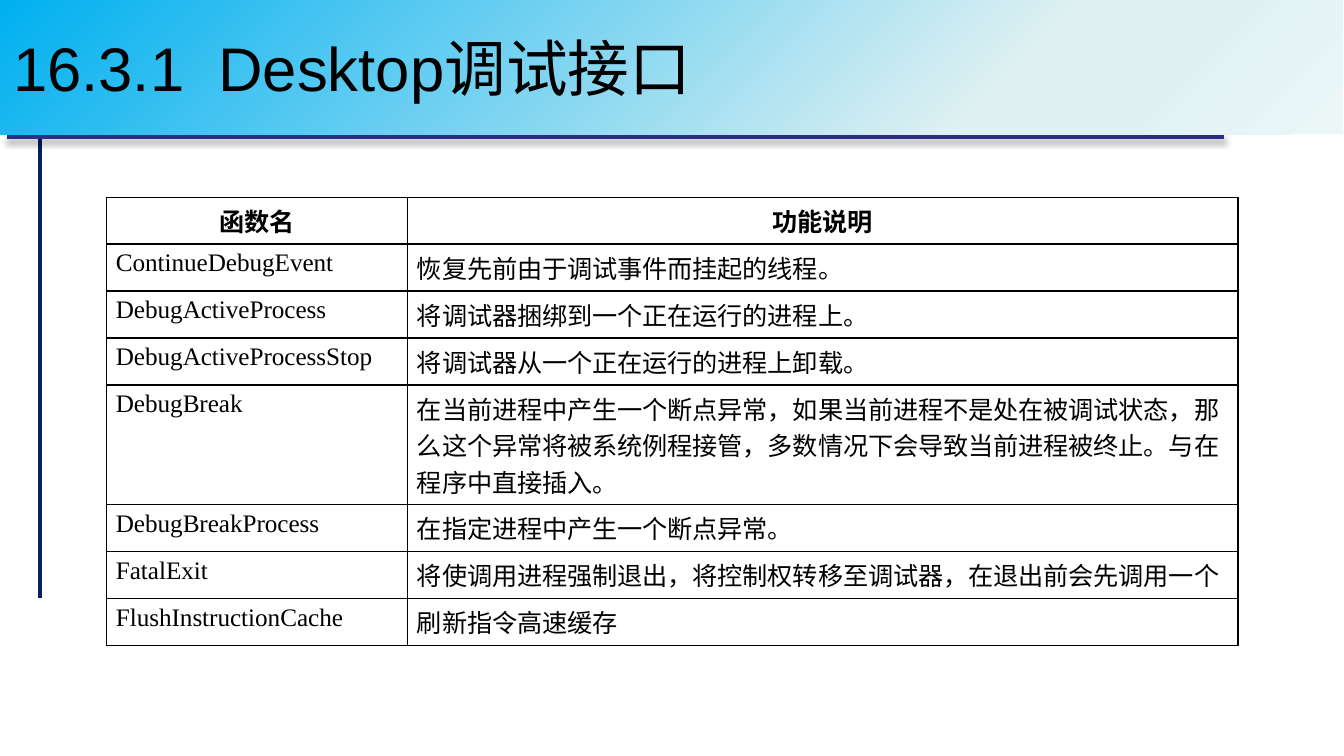
from lxml import etree
from pptx import Presentation
from pptx.dml.color import RGBColor
from pptx.enum.shapes import MSO_CONNECTOR, MSO_SHAPE
from pptx.enum.text import MSO_ANCHOR, PP_ALIGN
from pptx.oxml import parse_xml
from pptx.oxml.ns import qn
from pptx.util import Cm, Pt

STRAIGHT = MSO_CONNECTOR.STRAIGHT
RECTANGLE = MSO_SHAPE.RECTANGLE
MIDDLE, TOP = MSO_ANCHOR.MIDDLE, MSO_ANCHOR.TOP
LEFT, CENTER = PP_ALIGN.LEFT, PP_ALIGN.CENTER

BLACK = RGBColor(0x00, 0x00, 0x00)
NAVY = RGBColor(0x00, 0x20, 0x60)
INDIGO = RGBColor(0x2D, 0x2D, 0x89)
SKY = RGBColor(0x00, 0xB0, 0xF0)
MIST = RGBColor(0xE0, 0xF1, 0xF2)
PALE = RGBColor(0xEB, 0xF6, 0xF7)

CJK = "Noto Sans CJK SC"
SERIF = "Times New Roman"
A = 'xmlns:a="http://schemas.openxmlformats.org/drawingml/2006/main"'

ROWS = [
    ("函数名", "功能说明"),
    ("ContinueDebugEvent", "恢复先前由于调试事件而挂起的线程。"),
    ("DebugActiveProcess", "将调试器捆绑到一个正在运行的进程上。"),
    ("DebugActiveProcessStop", "将调试器从一个正在运行的进程上卸载。"),
    ("DebugBreak", "在当前进程中产生一个断点异常，如果当前进程不是处在被调试状态，"
     "那么这个异常将被系统例程接管，多数情况下会导致当前进程被终止。与在程序中直接插入。"),
    ("DebugBreakProcess", "在指定进程中产生一个断点异常。"),
    ("FatalExit", "将使调用进程强制退出，将控制权转移至调试器，在退出前会先调用一个"),
    ("FlushInstructionCache", "刷新指令高速缓存"),
]
ROW_HEIGHTS = [0.84, 0.84, 0.84, 0.84, 2.06, 0.84, 0.76, 0.84]
COLUMN_WIDTHS = [5.69, 15.7]


def write(tf, text, size, font, align=LEFT, bold=False):
    tf.text = text
    p = tf.paragraphs[0]
    p.alignment = align
    r = p.runs[0]
    r.font.size = Pt(size)
    r.font.name = font
    r.font.bold = bold
    r.font.color.rgb = BLACK
    etree.SubElement(r.font._element, qn("a:ea"), typeface=CJK)


prs = Presentation()
prs.slide_width, prs.slide_height = Cm(25.4), Cm(14.29)
s = prs.slides.add_slide(prs.slide_layouts[6])

# Rules beside and below the title
SHADOW = ('<a:outerShdw blurRad="39370" dist="22860" dir="5400000" rotWithShape="0">'
          '<a:srgbClr val="000000"><a:alpha val="35000"/></a:srgbClr></a:outerShdw>')
for x1, y1, x2, y2, color, effect in [
    (0.76, 2.06, 0.76, 11.3, NAVY, ""),
    (0.13, 2.59, 23.14, 2.59, INDIGO, SHADOW),
]:
    rule = s.shapes.add_connector(STRAIGHT, Cm(x1), Cm(y1), Cm(x2), Cm(y2))
    rule.line.color.rgb = color
    rule.line.width = Pt(2.25)
    rule._element.spPr.append(parse_xml(f"<a:effectLst {A}>{effect}</a:effectLst>"))

# Title band, shaded outwards from its top left corner
band = s.shapes.add_shape(RECTANGLE, 0, 0, Cm(25.38), Cm(2.54))
band.shadow.inherit = False
band.line.fill.background()
band.fill.background()
stops = "".join(
    f'<a:gs pos="{pos * 1000}"><a:srgbClr val="{color}"/></a:gs>'
    for pos, color in [(0, SKY), (74, MIST), (83, MIST), (100, PALE)])
spPr = band._element.spPr
spPr.replace(spPr.find(qn("a:noFill")), parse_xml(
    f'<a:gradFill {A} rotWithShape="1"><a:gsLst>{stops}</a:gsLst>'
    '<a:path path="circle"><a:fillToRect r="100000" b="100000"/></a:path></a:gradFill>'))
tf = band.text_frame
tf.word_wrap = True
tf.vertical_anchor = MIDDLE
write(tf, "16.3.1  Desktop调试接口", 33, "Arial")

# Function table
table = s.shapes.add_table(len(ROWS), 2, Cm(2.01), Cm(3.73),
                           Cm(sum(COLUMN_WIDTHS)), Cm(sum(ROW_HEIGHTS))).table
table.first_row = table.horz_banding = False
for column, width in zip(table.columns, COLUMN_WIDTHS):
    column.width = Cm(width)

for i, (texts, height) in enumerate(zip(ROWS, ROW_HEIGHTS)):
    table.rows[i].height = Cm(height)
    header = i == 0
    for cell, text in zip(table.rows[i].cells, texts):
        cell.margin_left = cell.margin_right = Cm(0.18)
        cell.margin_top = cell.margin_bottom = Cm(0.1)
        cell.vertical_anchor = TOP
        cell.fill.background()
        write(cell.text_frame, text, 13.5, CJK if header else SERIF,
              CENTER if header else LEFT, header)
        tcPr = cell._tc.get_or_add_tcPr()
        for k, side in enumerate("LRTB"):
            tcPr.insert(k, parse_xml(
                f'<a:ln{side} {A} w="12700"><a:solidFill><a:srgbClr val="{BLACK}"/>'
                f"</a:solidFill></a:ln{side}>"))

prs.save("out.pptx")
